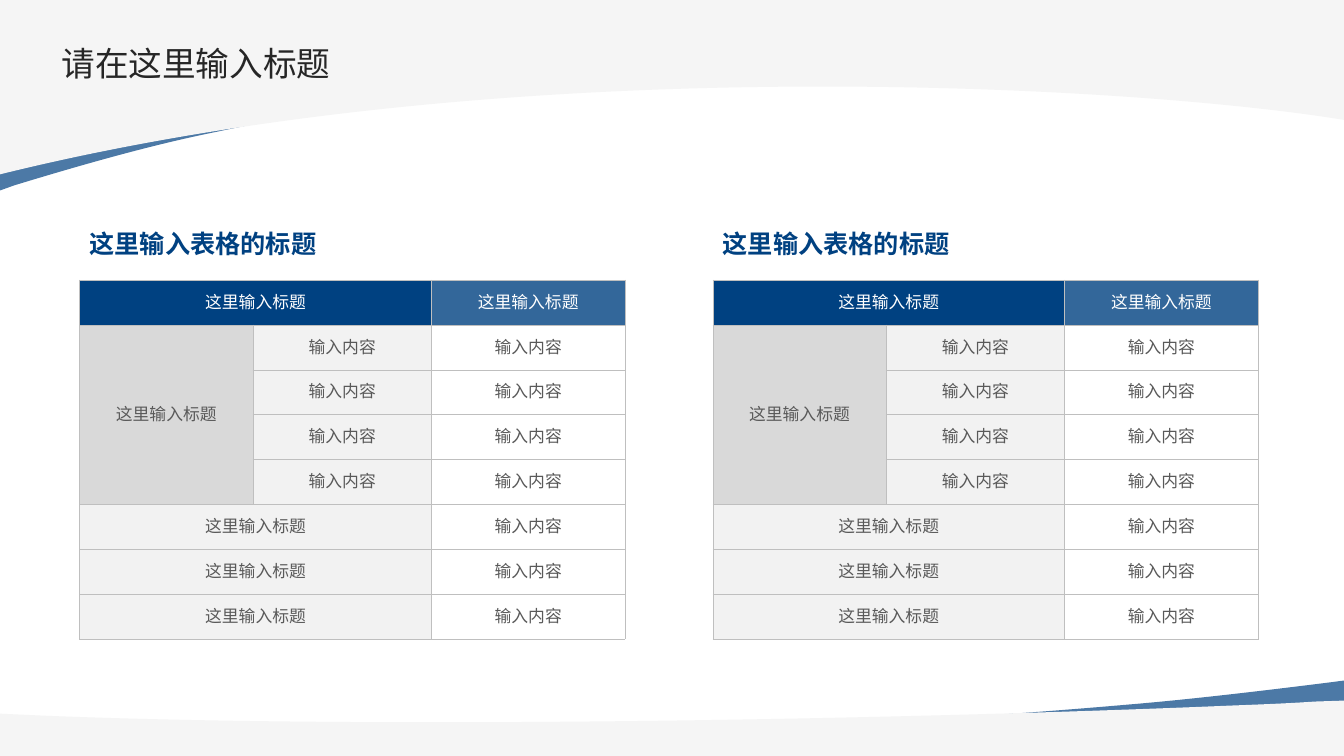
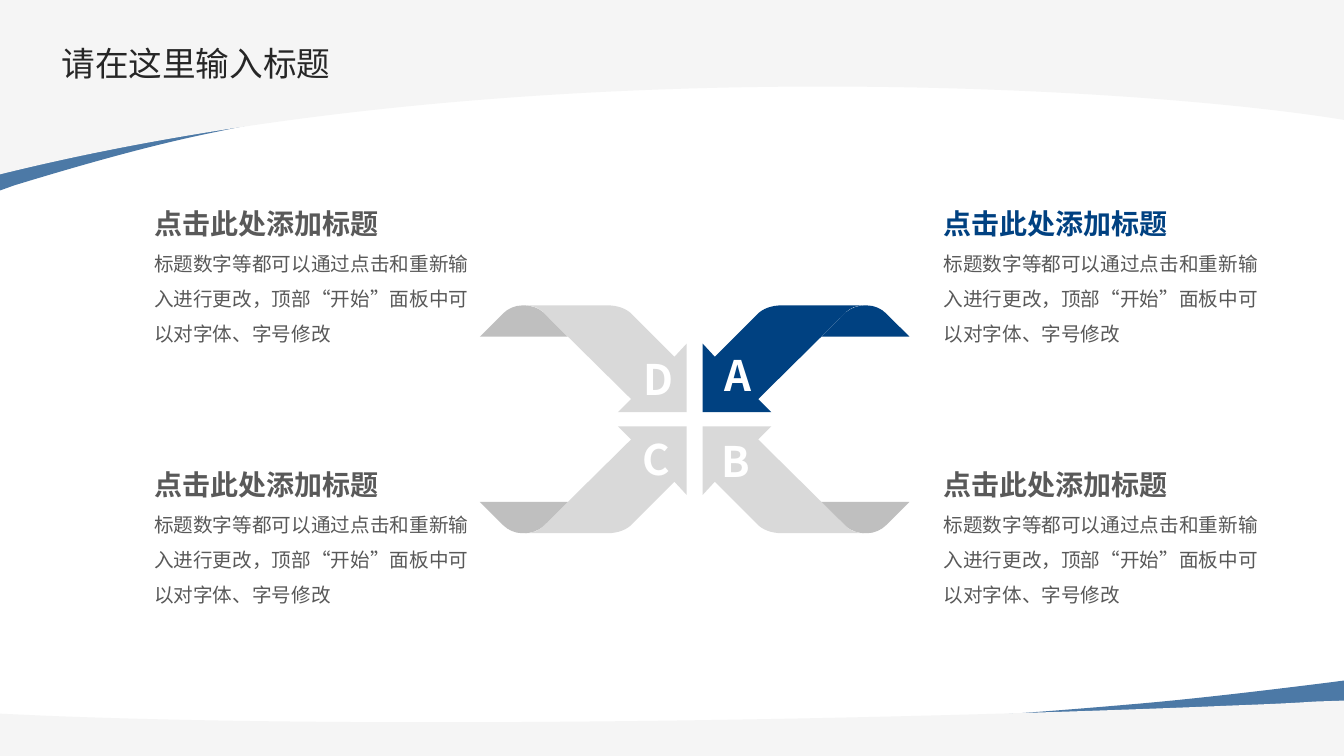
from dataclasses import dataclass
from typing import Optional

from lxml import etree
from pptx import Presentation
from pptx import util as u
from pptx.dml.color import RGBColor
from pptx.enum import text
from pptx.oxml import ns

FONT = "Noto Sans CJK SC"
NAVY, INK, GREY, WHITE = "004181", "262626", "595959", "FFFFFF"
PALE, LIGHT, MID, DARK = "F5F5F5", "F2F2F2", "D9D9D9", "BFBFBF"
SLIDE_WIDTH, SLIDE_HEIGHT = 13.33, 7.5
TITLE_ONLY = 5

# An outline is a list of steps: two numbers are a line's end,
# six are a curve's two handles and its end.
Outline = list[tuple[float, ...]]


@dataclass(frozen=True)
class Band:
    outline: Outline
    color: str
    alpha: int = 100


@dataclass(frozen=True)
class Quadrant:
    letter: str
    side: int  # -1 left of the centre, 1 right
    level: int  # -1 above the centre, 1 below
    letter_left: float
    letter_top: float
    arrow_color: str = MID
    fold_color: str = DARK
    heading_color: str = GREY


BANDS = [
    Band([(0, 1.89), (0, 0.22), (13.34, 0.22), (13.34, 0.91), (13.33, 0.91),
          (10.32, 0.06, 5.14, 0.67, 2.14, 1.31),
          (1.54, 1.43, 0.86, 1.62, 0.14, 1.84)], NAVY, 70),
    Band([(0, 0), (13.33, 0), (13.33, 1.19),
          (11.4, 0.87, 5.17, 0.45, 0, 1.73)], PALE),
    Band([(13.34, 6.75), (13.34, 7.44), (0, 7.44), (0, 7.15), (0.01, 7.16),
          (3.01, 7.5, 8.2, 7.25, 11.19, 6.99),
          (11.79, 6.94, 12.47, 6.86, 13.19, 6.77)], NAVY, 70),
    Band([(13.34, 6.95), (13.34, 7.5), (0, 7.5), (0, 7.08), (0.44, 7.1),
          (3.92, 7.24, 9.1, 7.13, 12.2, 7),
          (12.46, 6.99, 12.75, 6.98, 13.04, 6.96)], PALE),
]

# Distances outward from the centre where the four arrows meet.
CENTRE_X, CENTRE_Y = 6.89, 4.16
ARROW: Outline = [
    (1.49, 1.05), (0.63, 0.2), (0.76, 0.07), (0.08, 0.07), (0.08, 0.75),
    (0.2, 0.62), (0.61, 1.03), (0.67, 1.1, 0.77, 1.13, 0.86, 1.13),
    (1.68, 1.13), (1.61, 1.13, 1.54, 1.11, 1.49, 1.05)]
FOLD: Outline = [
    (1.9, 1.05), (1.85, 1.1, 1.78, 1.13, 1.71, 1.13), (1.7, 1.13),
    (1.62, 1.13, 1.55, 1.11, 1.49, 1.05), (1.26, 0.82), (2.13, 0.82)]

QUADRANTS = [
    Quadrant("D", -1, -1, 6.26, 3.53),
    Quadrant("C", -1, 1, 6.24, 4.33),
    Quadrant("A", 1, -1, 7.05, 3.49, NAVY, NAVY, NAVY),
    Quadrant("B", 1, 1, 7.03, 4.35),
]
NOTE_LEFT = {-1: 1.43, 1: 9.26}
NOTE_TOP = {-1: 1.83, 1: 4.42}

TITLE = "请在这里输入标题"
TABLE_HEADING = "这里输入表格的标题"
ROW_LABEL, ROW_VALUE = "这里输入标题", "输入内容"
NOTE_HEADING = "点击此处添加标题"
NOTE_BODY = "标题数字等都可以通过点击和重新输入进行更改，顶部“开始”面板中可以对字体、字号修改"

TABLE_LEFTS = (0.79, 7.07)
TABLE_TOP, TABLE_HEIGHT = 2.78, 3.46
COLUMN_WIDTHS = (1.72, 1.77, 1.92)
ROW_COUNT, ROW_HEIGHT = 8, 0.28
GROUP_ROWS = range(1, 5)


def rgb(color: str) -> RGBColor:
    return RGBColor.from_string(color)


def paint(fill, color: str, alpha: int = 100) -> None:
    """Fill with one colour; alpha is the opacity in percent."""
    fill.solid()
    fill.fore_color.rgb = rgb(color)
    if alpha < 100:
        solid = fill._xPr.find(ns.qn("a:solidFill"))
        node = solid.find(ns.qn("a:srgbClr"))
        etree.SubElement(node, ns.qn("a:alpha"), val=str(alpha * 1000))


def write(para, words: str, size: float, color: str, bold: bool = False,
          spacing=None, align=text.PP_ALIGN.LEFT) -> None:
    para.text = words
    para.alignment = align
    if spacing is not None:
        para.line_spacing = spacing
    font = para.font
    font.name, font.size, font.bold = FONT, u.Pt(size), bold
    font.color.rgb = rgb(color)
    properties = para._p.pPr.find(ns.qn("a:defRPr"))
    etree.SubElement(properties, ns.qn("a:ea"), typeface=FONT)


def add_box(slide, left: float, top: float, width: float, height: float,
            wrap: bool = True, anchor=text.MSO_ANCHOR.TOP, fit: bool = True):
    """Add a text box and return its text frame."""
    box = slide.shapes.add_textbox(*map(u.Inches, (left, top, width, height)))
    frame = box.text_frame
    frame.word_wrap = wrap
    frame.vertical_anchor = anchor
    if fit:
        frame.auto_size = text.MSO_AUTO_SIZE.SHAPE_TO_FIT_TEXT
    return frame


def add_outline(slide, outline: Outline, color: str, alpha: int = 100):
    """Join the steps' ends by lines, then bend the lines that have handles."""
    steps = [[u.Inches(value) for value in step] for step in outline]
    builder = slide.shapes.build_freeform(*steps[0])
    builder.add_line_segments([step[-2:] for step in steps[1:]], close=True)
    shape = builder.convert_to_shape()
    lines = list(shape.element.iter(ns.qn("a:lnTo")))
    for line, step in zip(lines, steps[1:]):
        if len(step) == 6:
            curve = etree.Element(ns.qn("a:cubicBezTo"))
            for x, y in zip(step[0::2], step[1::2]):
                etree.SubElement(curve, ns.qn("a:pt"),
                                 x=str(x - shape.left), y=str(y - shape.top))
            line.getparent().replace(line, curve)
    shape.shadow.inherit = False
    shape.line.fill.background()
    paint(shape.fill, color, alpha)
    return shape


def move_bands_to_layout(slide) -> None:
    """Draw the bands on a slide, then hand them to its layout."""
    tree = slide.slide_layout.shapes.element
    for i, band in enumerate(BANDS):
        shape = add_outline(slide, band.outline, band.color, band.alpha)
        shape.element.nvSpPr.cNvPr.set("id", str(100 + i))
        tree.insert(2 + i, shape.element)


def add_titled_slide(deck):
    slide = deck.slides.add_slide(deck.slide_layouts[TITLE_ONLY])
    title = slide.shapes.title
    title.left, title.top = u.Inches(0.53), u.Inches(0.39)
    title.width, title.height = u.Inches(12), u.Inches(0.58)
    frame = title.text_frame
    frame.margin_left = frame.margin_top = frame.margin_bottom = u.Inches(0.08)
    frame.margin_right = 0
    frame.word_wrap = False
    frame.auto_size = text.MSO_AUTO_SIZE.NONE
    frame.vertical_anchor = text.MSO_ANCHOR.TOP
    write(frame.paragraphs[0], TITLE, 24, INK, spacing=0.9)
    return slide


def add_borders(cell) -> None:
    properties = cell._tc.get_or_add_tcPr()
    for i, side in enumerate(("a:lnL", "a:lnR", "a:lnT", "a:lnB")):
        line = etree.Element(ns.qn(side), w=str(u.Pt(0.5)))
        fill = etree.SubElement(line, ns.qn("a:solidFill"))
        etree.SubElement(fill, ns.qn("a:srgbClr"), val=DARK)
        properties.insert(i, line)


def fill_cell(cell, words: str, ink: str, color: Optional[str],
              alpha: int = 100) -> None:
    cell.vertical_anchor = text.MSO_ANCHOR.MIDDLE
    cell.margin_left = cell.margin_right = u.Cm(0.1)
    cell.margin_top = cell.margin_bottom = u.Cm(0.3)
    write(cell.text_frame.paragraphs[0], words, 12, ink,
          spacing=u.Pt(15), align=text.PP_ALIGN.CENTER)
    if color:
        paint(cell.fill, color, alpha)
    else:
        cell.fill.background()


def add_titled_table(slide, left: float) -> None:
    heading = add_box(slide, left, 2.3, 2.47, 0.32, wrap=False,
                      anchor=text.MSO_ANCHOR.MIDDLE)
    write(heading.paragraphs[0], TABLE_HEADING, 18, NAVY, True, u.Pt(15))

    frame = slide.shapes.add_table(
        ROW_COUNT, len(COLUMN_WIDTHS), u.Inches(left), u.Inches(TABLE_TOP),
        u.Inches(sum(COLUMN_WIDTHS)), u.Inches(TABLE_HEIGHT))
    table = frame.table
    table.first_row = table.horz_banding = False
    for column, width in zip(table.columns, COLUMN_WIDTHS):
        column.width = u.Inches(width)
    for row in table.rows:
        row.height = u.Inches(ROW_HEIGHT)
    frame.height = u.Inches(TABLE_HEIGHT)
    for cell in table.iter_cells():
        add_borders(cell)

    table.cell(GROUP_ROWS[0], 0).merge(table.cell(GROUP_ROWS[-1], 0))
    fill_cell(table.cell(GROUP_ROWS[0], 0), ROW_LABEL, GREY, MID)
    for row in range(ROW_COUNT):
        label, middle, value = (table.cell(row, column) for column in range(3))
        if row in GROUP_ROWS:
            fill_cell(middle, ROW_VALUE, GREY, LIGHT)
        else:
            label.merge(middle)
        if row == 0:
            fill_cell(label, ROW_LABEL, WHITE, NAVY)
            fill_cell(value, ROW_LABEL, WHITE, NAVY, 80)
            continue
        if row not in GROUP_ROWS:
            fill_cell(label, ROW_LABEL, GREY, LIGHT)
        fill_cell(value, ROW_VALUE, GREY, None)


def add_arrow(slide, quadrant: Quadrant) -> None:
    """Draw one folded arrow and its letter."""
    centre = (CENTRE_X, CENTRE_Y)
    signs = (quadrant.side, quadrant.level)
    for outline, color in ((ARROW, quadrant.arrow_color),
                           (FOLD, quadrant.fold_color)):
        mirrored = [tuple(centre[i % 2] + signs[i % 2] * value
                          for i, value in enumerate(step)) for step in outline]
        add_outline(slide, mirrored, color)
    letter = add_box(slide, quadrant.letter_left, quadrant.letter_top, 0.54, 0.45,
                     anchor=text.MSO_ANCHOR.MIDDLE, fit=False)
    write(letter.paragraphs[0], quadrant.letter, 30, WHITE, True,
          align=text.PP_ALIGN.CENTER)


def add_note(slide, quadrant: Quadrant) -> None:
    note = add_box(slide, NOTE_LEFT[quadrant.side], NOTE_TOP[quadrant.level],
                   3.47, 1.62)
    write(note.paragraphs[0], NOTE_HEADING, 20, quadrant.heading_color, True, 1.5)
    write(note.add_paragraph(), NOTE_BODY, 14, GREY, spacing=1.5)


def main() -> None:
    deck = Presentation()
    deck.slide_width = u.Inches(SLIDE_WIDTH)
    deck.slide_height = u.Inches(SLIDE_HEIGHT)

    table_slide = add_titled_slide(deck)
    move_bands_to_layout(table_slide)
    for left in TABLE_LEFTS:
        add_titled_table(table_slide, left)

    arrow_slide = add_titled_slide(deck)
    for quadrant in QUADRANTS:
        add_arrow(arrow_slide, quadrant)
    for quadrant in sorted(QUADRANTS, key=lambda q: (q.level, q.side)):
        add_note(arrow_slide, quadrant)

    deck.save("out.pptx")


if __name__ == "__main__":
    main()
